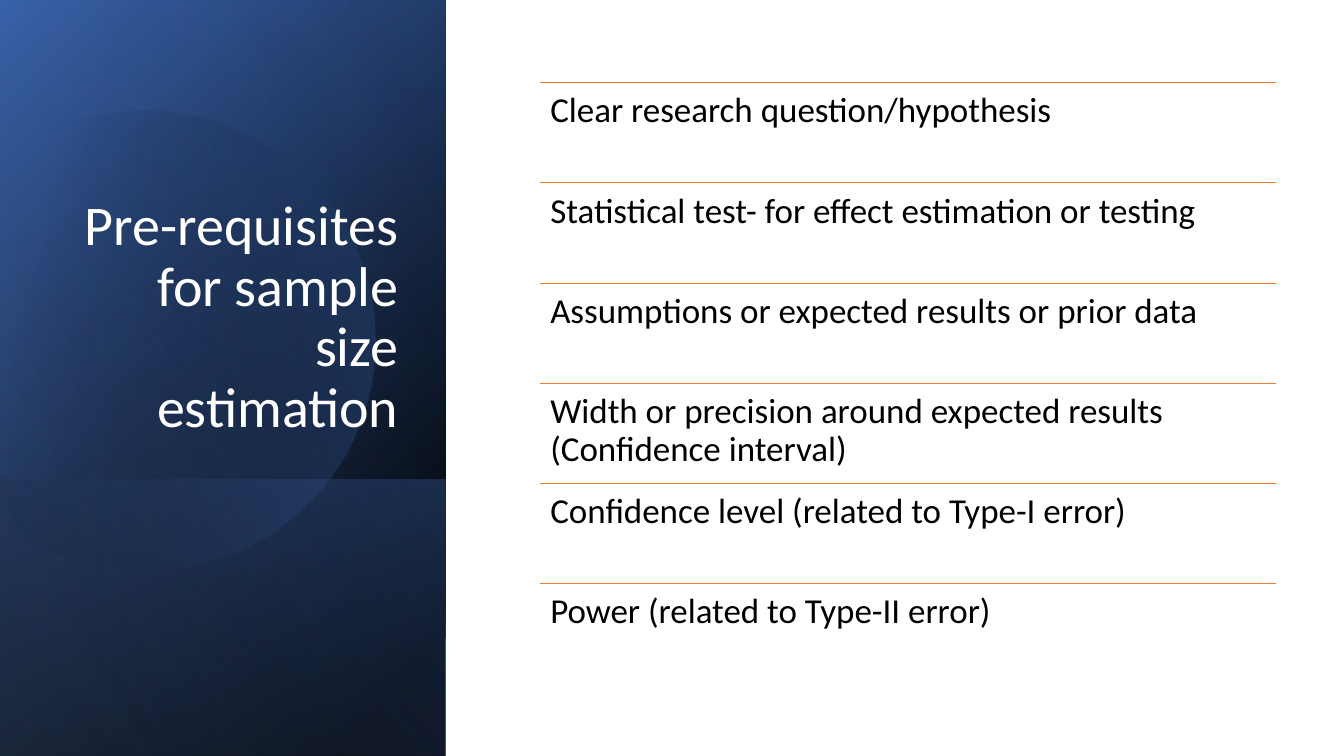
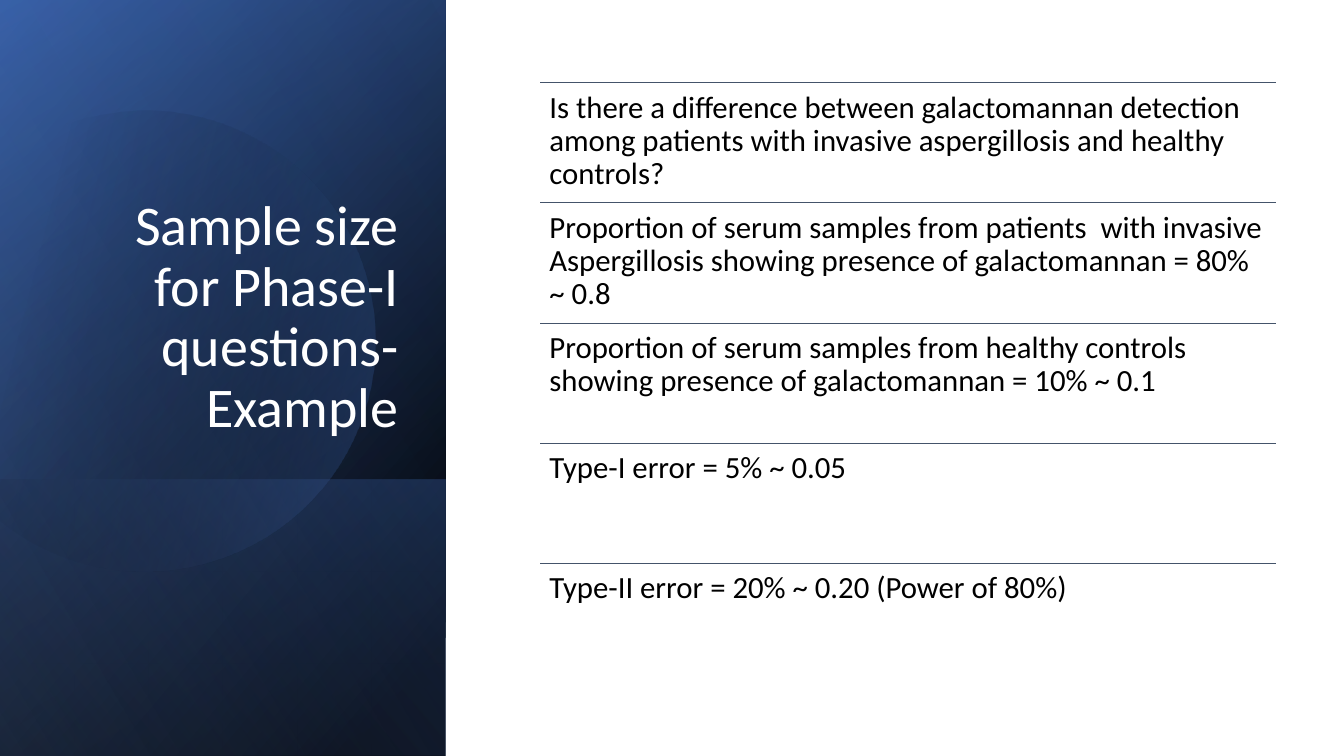
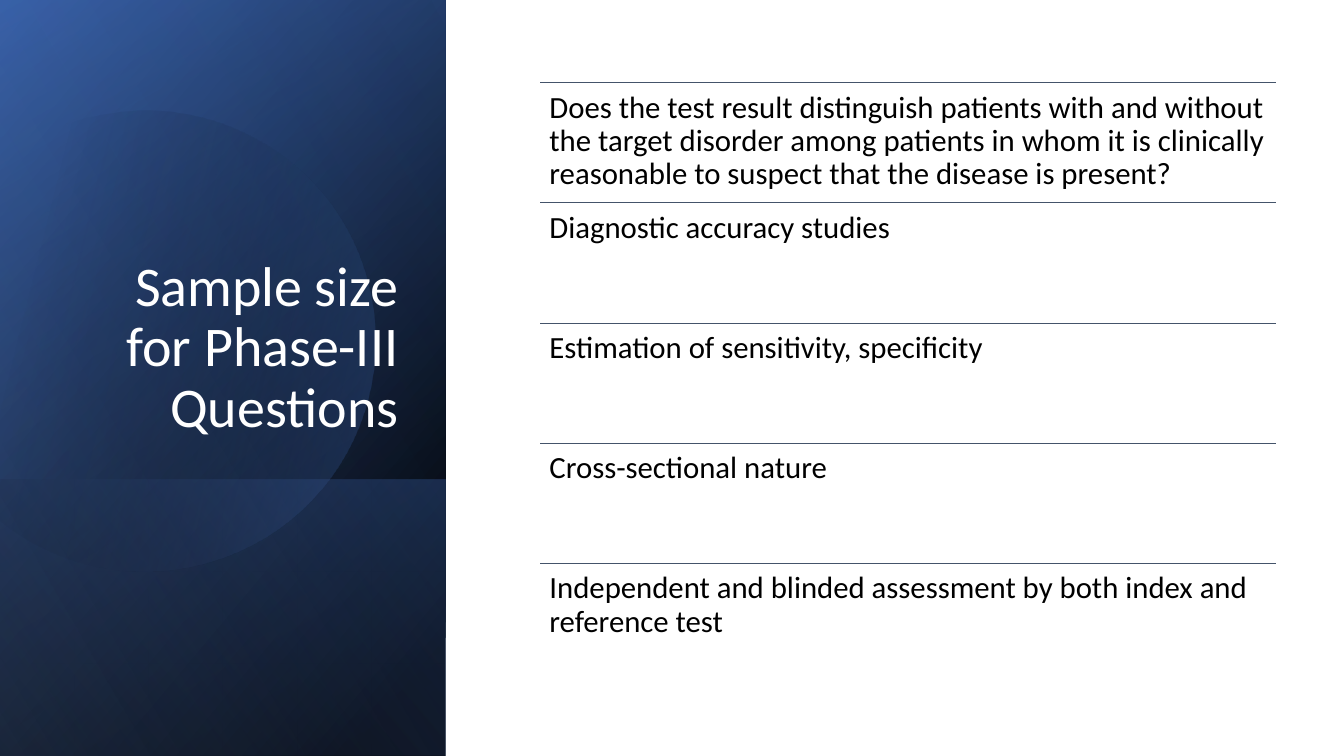
import math
import lxml.etree
import pptx
import pptx.dml.color
import pptx.enum.shapes
import pptx.enum.text
import pptx.oxml.ns
import pptx.util

Inches = pptx.util.Inches
Pt = pptx.util.Pt
qn = pptx.oxml.ns.qn

BLACK, WHITE, BLUE, NAVY, PALE = "000000", "FFFFFF", "4472C4", "2F5597", "8FAADC"
ORANGE, SLATE = "ED7D31", "44546A"

PANEL = (-1.54, 1.54, 7.5, 4.42)
PANEL_LAYERS = [
    (PANEL, [(8, BLACK, 100), (100, NAVY, 100)], 50),
    (PANEL, [(0, BLACK, 0), (99, BLUE, 46)], 30),
    ((0.84, 3.92, 2.74, 4.42), [(2, BLUE, 29), (100, BLACK, 30)], 130),
]
DISC_STOPS = [(29, BLACK, 0), (100, BLUE, 43)]
SHEEN_STOPS = [(0, BLACK, 0), (99, PALE, 11)]

DISC_CENTRE = (1.58, 3.34)
DISC_TILT = 16.1
DISC_START = (1.49, 1.1)
DISC_CURVES = [
    [(2.46, 1.12), (3.35, 1.77), (3.63, 2.75)],
    [(3.98, 3.97), (3.28, 5.23), (2.07, 5.58)],
    [(1.31, 5.8), (0.53, 5.61), (-0.03, 5.14)],
    [(-0.15, 5.03)],
    [(-0.15, 1.75)],
    [(0, 1.61)],
    [(0.23, 1.42), (0.5, 1.28), (0.8, 1.19)],
    [(1.03, 1.13), (1.26, 1.1), (1.49, 1.1)],
]

LIST_LEFT, LIST_TOP, LIST_WIDTH, LIST_HEIGHT = 5.36, 0.82, 7.3, 5.96


def rgb(value):
    return pptx.dml.color.RGBColor.from_string(value)


def outline(start, curves, steps=24):
    points = [start]
    for curve in curves:
        if len(curve) == 1:
            points += curve
            continue
        controls = [points[-1]] + curve
        for i in range(1, steps + 1):
            t = i / steps
            weights = [math.comb(3, k) * t**k * (1 - t) ** (3 - k) for k in range(4)]
            points.append(tuple(sum(w * c[axis] for w, c in zip(weights, controls)) for axis in (0, 1)))
    return points


def turn(point, centre, degrees):
    a = math.radians(degrees)
    dx, dy = point[0] - centre[0], point[1] - centre[1]
    return (centre[0] + dx * math.cos(a) - dy * math.sin(a),
            centre[1] + dx * math.sin(a) + dy * math.cos(a))


class Deck:
    font = "Calibri"

    def __init__(self):
        self.prs = pptx.Presentation()
        self.prs.slide_width, self.prs.slide_height = Inches(13.33), Inches(7.5)
        self.s = None

    def slide(self):
        self.s = self.prs.slides.add_slide(self.prs.slide_layouts[6])

    def gradient(self, sp, stops, angle):
        sp.shadow.inherit = False
        sp.line.fill.background()
        sp.fill.gradient()
        sp.fill.gradient_angle = 360 - angle
        for stop, (position, color, alpha) in zip(sp.fill.gradient_stops, stops):
            stop.position = position / 100
            stop.color.rgb = rgb(color)
        clrs = sp.element.spPr.iter(qn("a:srgbClr"))
        for clr, (position, color, alpha) in zip(clrs, stops):
            if alpha < 100:
                lxml.etree.SubElement(clr, qn("a:alpha")).set("val", str(alpha * 1000))

    def turned_rect(self, box, stops, angle):
        kind = pptx.enum.shapes.MSO_SHAPE.RECTANGLE
        sp = self.s.shapes.add_shape(kind, *map(Inches, box))
        sp.rotation = 90
        sp.element.spPr.find(qn("a:xfrm")).set("flipH", "1")
        self.gradient(sp, stops, angle)

    def disc(self):
        points = [turn(p, DISC_CENTRE, DISC_TILT) for p in outline(DISC_START, DISC_CURVES)]
        points = [(Inches(x), Inches(y)) for x, y in points]
        builder = self.s.shapes.build_freeform(*points[0])
        builder.add_line_segments(points[1:], close=True)
        sp = builder.convert_to_shape()
        sp.rotation = 360 - DISC_TILT
        self.gradient(sp, DISC_STOPS, 30)

    def text(self, box, text, size, color, inset=0.1, anchor="TOP", align="LEFT"):
        tf = self.s.shapes.add_textbox(*map(Inches, box)).text_frame
        p = tf.paragraphs[0]
        r = p.add_run()
        r.text = text
        r.font.color.rgb = rgb(color)
        margins = {"margin_" + side: Inches(inset) for side in ("left", "right", "top", "bottom")}
        formats = [
            (tf, {"word_wrap": True, "vertical_anchor": pptx.enum.text.MSO_ANCHOR[anchor], **margins}),
            (p, {"alignment": pptx.enum.text.PP_ALIGN[align], "line_spacing": 0.9}),
            (r.font, {"name": self.font, "size": Pt(size)}),
        ]
        for target, values in formats:
            for name, value in values.items():
                setattr(target, name, value)

    def rule(self, x, y, width, color):
        kind = pptx.enum.shapes.MSO_CONNECTOR.STRAIGHT
        line = self.s.shapes.add_connector(kind, *map(Inches, (x, y, x + width, y)))
        line.line.color.rgb = rgb(color)
        line.line.width = Pt(0.5)
        lxml.etree.SubElement(line.element.spPr, qn("a:effectLst"))

    def title_panel(self, title):
        for box, stops, angle in PANEL_LAYERS:
            self.turned_rect(box, stops, angle)
        self.disc()
        self.turned_rect(PANEL, SHEEN_STOPS, 120)
        self.text((0.64, 1.84, 3.41, 2.62), title, 40, WHITE, anchor="BOTTOM", align="RIGHT")

    def ruled_list(self, items, size, inset, color):
        pitch = LIST_HEIGHT / len(items)
        for i, item in enumerate(items):
            y = LIST_TOP + i * pitch
            self.rule(LIST_LEFT, y, LIST_WIDTH, color)
            self.text((LIST_LEFT, y, LIST_WIDTH, pitch), item, size, BLACK, inset)


SLIDES = [
    ("Pre-requisites for sample size estimation", 25, 0.1, ORANGE, [
        "Clear research question/hypothesis",
        "Statistical test- for effect estimation or testing",
        "Assumptions or expected results or prior data",
        "Width or precision around expected results (Confidence interval)",
        "Confidence level (related to Type-I error)",
        "Power (related to Type-II error)",
    ]),
    ("Sample size for Phase-I questions- Example", 22, 0.09, SLATE, [
        "Is there a difference between galactomannan detection among patients "
        "with invasive aspergillosis and healthy controls?",
        "Proportion of serum samples from patients  with invasive Aspergillosis "
        "showing presence of galactomannan = 80% ~ 0.8",
        "Proportion of serum samples from healthy controls showing presence of "
        "galactomannan = 10% ~ 0.1",
        "Type-I error = 5% ~ 0.05",
        "Type-II error = 20% ~ 0.20 (Power of 80%)",
    ]),
    ("Sample size for Phase-III Questions", 22, 0.09, SLATE, [
        "Does the test result distinguish patients with and without the target "
        "disorder among patients in whom it is clinically reasonable to suspect "
        "that the disease is present?",
        "Diagnostic accuracy studies",
        "Estimation of sensitivity, specificity",
        "Cross-sectional nature",
        "Independent and blinded assessment by both index and reference test",
    ]),
]

deck = Deck()
for title, size, inset, color, items in SLIDES:
    deck.slide()
    deck.title_panel(title)
    deck.ruled_list(items, size, inset, color)
deck.prs.save("out.pptx")
